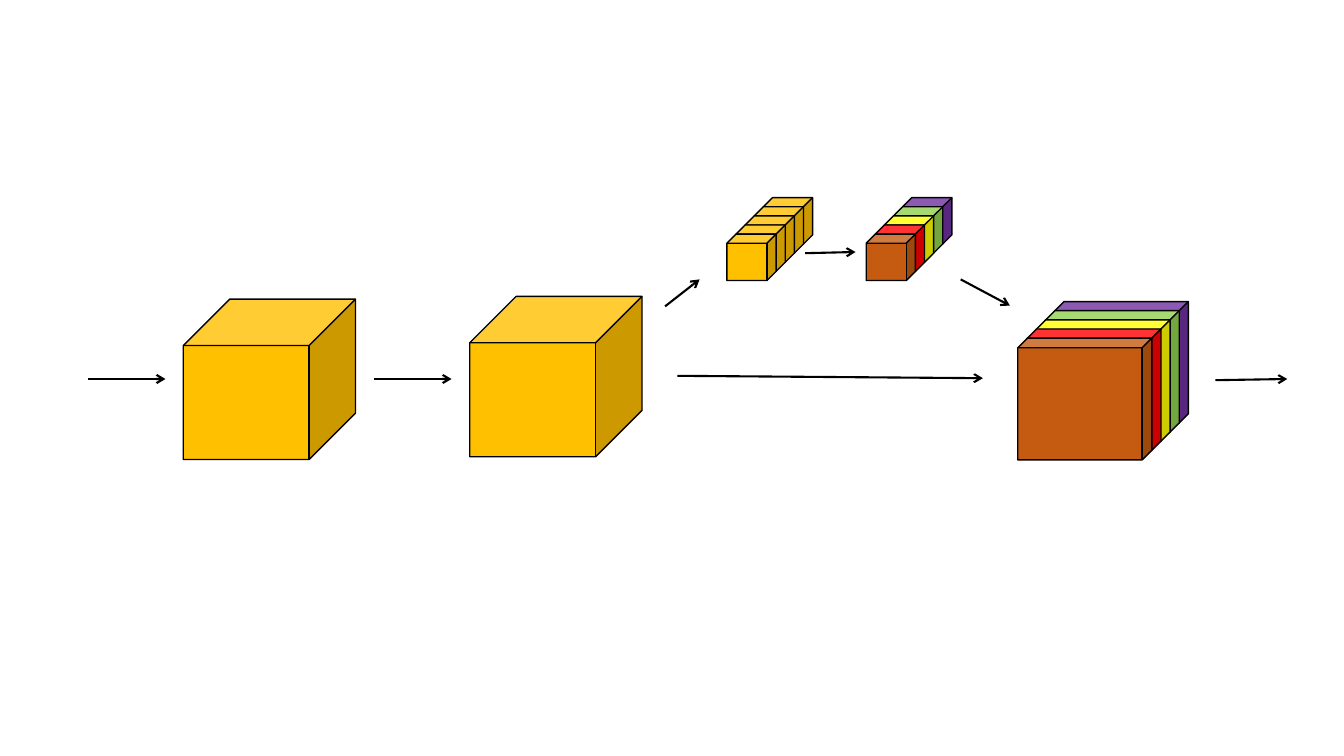
from dataclasses import dataclass

from lxml import etree
from pptx import Presentation
from pptx.dml.color import RGBColor
from pptx.enum.dml import MSO_LINE
from pptx.enum.shapes import MSO_CONNECTOR, MSO_SHAPE
from pptx.oxml.ns import qn
from pptx.util import Cm, Pt

CUBE = MSO_SHAPE.CUBE
STRAIGHT = MSO_CONNECTOR.STRAIGHT
SOLID = MSO_LINE.SOLID

COLORS = {
    "outline": "000000",
    "amber": "FFC000",
    "purple": "7030A0",
    "green": "92D050",
    "yellow": "FFFF00",
    "red": "FF0000",
    "brown": "C55A11",
}
CUBE_LINE = {"width": Pt(1), "dash_style": SOLID}
ARROW_LINE = {"width": Pt(1.5), "dash_style": SOLID}

LAYER_STEP = 0.23  # cm that each layer moves left and down
AMBER_LAYERS = ("amber",) * 5
CHANNEL_LAYERS = ("purple", "green", "yellow", "red", "brown")


@dataclass(frozen=True)
class CubeSize:
    width: float
    height: float
    depth: float


@dataclass(frozen=True)
class Block:
    """Layers run from back to front; left and top place the rear one."""
    left: float
    top: float
    size: CubeSize
    layers: tuple[str, ...]


@dataclass(frozen=True)
class Arrow:
    x1: float
    y1: float
    x2: float
    y2: float


FEATURE_MAP = CubeSize(4.34, 4.04, 0.289)
SMALL_LAYER = CubeSize(1.24, 1.17, 0.197)
LARGE_LAYER = CubeSize(3.38, 3.07, 0.08)

BLOCKS = (
    Block(4.62, 7.54, FEATURE_MAP, ("amber",)),
    Block(11.84, 7.47, FEATURE_MAP, ("amber",)),
    Block(19.24, 4.98, SMALL_LAYER, AMBER_LAYERS),
    Block(22.75, 4.98, SMALL_LAYER, CHANNEL_LAYERS),
    Block(26.57, 7.6, LARGE_LAYER, CHANNEL_LAYERS),
)
ARROWS = (
    Arrow(2.21, 9.55, 4.17, 9.55),
    Arrow(9.42, 9.55, 11.38, 9.55),
    Arrow(17.07, 9.47, 24.77, 9.53),
    Arrow(16.76, 7.72, 17.63, 7.04),
    Arrow(20.29, 6.38, 21.56, 6.35),
    Arrow(24.21, 7.04, 25.45, 7.7),
    Arrow(30.63, 9.58, 32.44, 9.55),
)


def format_line(line, line_format: dict) -> None:
    line.color.rgb = RGBColor.from_string(COLORS["outline"])
    for attribute, value in line_format.items():
        setattr(line, attribute, value)


def draw_cube(shapes, left: float, top: float, size: CubeSize, color: str) -> None:
    cube = shapes.add_shape(CUBE, Cm(left), Cm(top), Cm(size.width), Cm(size.height))
    cube.adjustments[0] = size.depth
    cube.shadow.inherit = False
    cube.fill.solid()
    cube.fill.fore_color.rgb = RGBColor.from_string(COLORS[color])
    format_line(cube.line, CUBE_LINE)


def draw_block(slide, block: Block) -> None:
    layered = len(block.layers) > 1
    shapes = slide.shapes.add_group_shape().shapes if layered else slide.shapes
    for index, color in enumerate(block.layers):
        shift = index * LAYER_STEP
        draw_cube(shapes, block.left - shift, block.top + shift, block.size, color)


def draw_arrow(slide, arrow: Arrow) -> None:
    connector = slide.shapes.add_connector(
        STRAIGHT, Cm(arrow.x1), Cm(arrow.y1), Cm(arrow.x2), Cm(arrow.y2))
    format_line(connector.line, ARROW_LINE)
    properties = connector.element.spPr
    etree.SubElement(properties.find(qn("a:ln")), qn("a:tailEnd"), type="arrow")
    etree.SubElement(properties, qn("a:effectLst"))


def main() -> None:
    presentation = Presentation()
    presentation.slide_width = Cm(33.87)
    presentation.slide_height = Cm(19.05)
    slide = presentation.slides.add_slide(presentation.slide_layouts[6])

    # Feature maps and channel stacks
    for block in BLOCKS:
        draw_block(slide, block)

    # Data flow
    for arrow in ARROWS:
        draw_arrow(slide, arrow)

    presentation.save("out.pptx")


if __name__ == "__main__":
    main()
